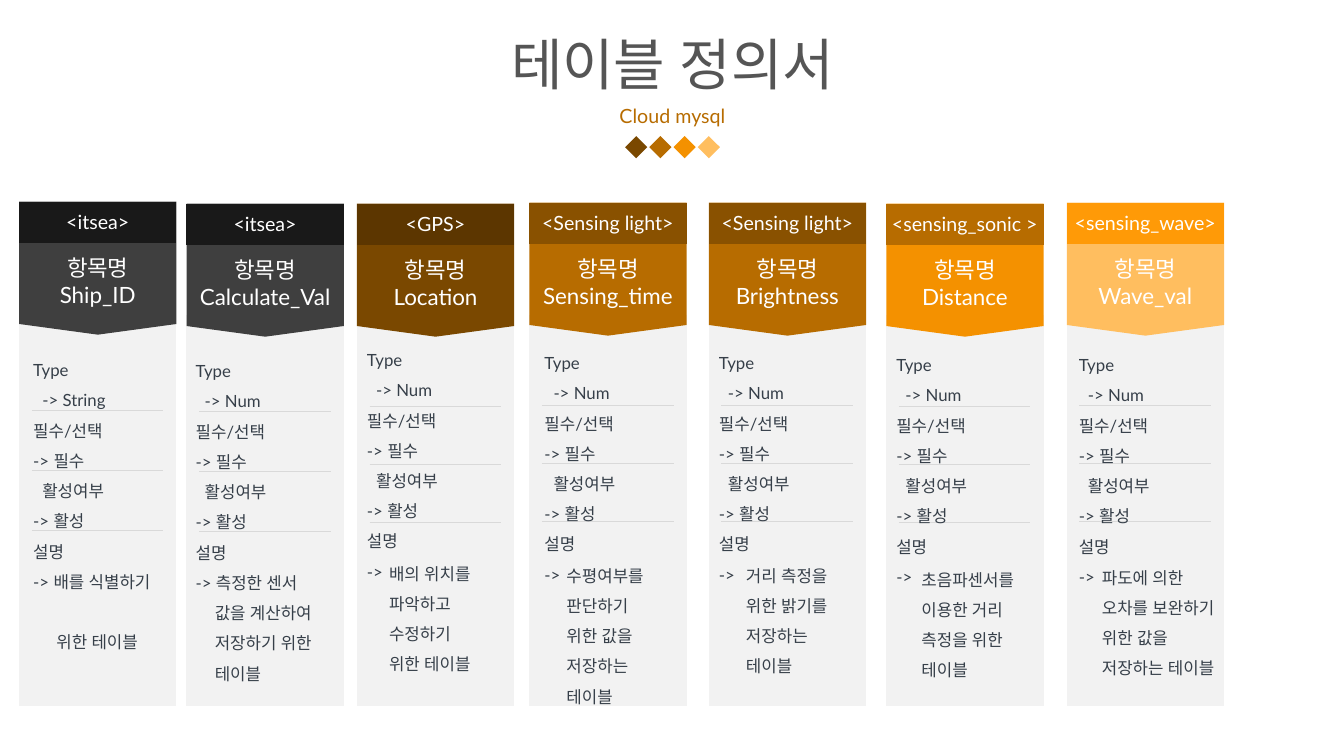
from lxml.etree import SubElement
from pptx import Presentation
from pptx.dml.color import RGBColor
from pptx.enum.shapes import MSO_CONNECTOR as Link, MSO_SHAPE as Form
from pptx.enum.text import MSO_ANCHOR as Anchor, PP_ALIGN as Align
from pptx.oxml.ns import qn
from pptx.util import Inches, Pt

WHITE = RGBColor(0xFF, 0xFF, 0xFF)
TITLE = RGBColor(0x55, 0x55, 0x55)
INK = RGBColor(0x36, 0x3F, 0x49)
PANEL = RGBColor(0xF2, 0xF2, 0xF2)
RULE = RGBColor(0xD9, 0xD9, 0xD9)
BLACK = RGBColor(0x19, 0x19, 0x19)
GREY = RGBColor(0x3F, 0x3F, 0x3F)
DARK = RGBColor(0x5C, 0x36, 0x00)
BROWN = RGBColor(0x7A, 0x48, 0x00)
RUST = RGBColor(0x89, 0x51, 0x00)
OCHRE = RGBColor(0xB7, 0x6C, 0x00)
ORANGE = RGBColor(0xF4, 0x91, 0x00)
AMBER = RGBColor(0xFF, 0x9A, 0x07)
SAND = RGBColor(0xFF, 0xBE, 0x5F)

# Grid of ten columns and ten rows to the inch
CELL = Inches(0.1)
WIDE = 15.6
FOOT = 70

deck = Presentation()
deck.slide_width, deck.slide_height = Inches(13.33), Inches(7.5)
slide = deck.slides.add_slide(deck.slide_layouts[5])
shapes = slide.shapes


def block(form, x, y, w, h, fill):
    """Add a flat filled shape; lengths are in grid cells."""
    shape = shapes.add_shape(form, *[round(n * CELL) for n in (x, y, w, h)])
    shape.shadow.inherit = False
    shape.fill.solid()
    shape.fill.fore_color.rgb = fill
    shape.line.fill.background()
    return shape


def write(spot, lines, size, color, align=Align.CENTER, space=1.0,
          inset=None, box=None):
    """Fill a placeholder, or a new text box at spot, with (text, indent, gap) lines."""
    if box is None:
        box = shapes.add_textbox(*[round(n * CELL) for n in spot])
    frame = box.text_frame
    frame.word_wrap = True
    if inset is not None:
        frame.margin_left = frame.margin_right = inset
        frame.margin_top = frame.margin_bottom = inset
    for i, (text, indent, gap) in enumerate(lines):
        para = frame.add_paragraph() if i else frame.paragraphs[0]
        para.alignment = align
        para.line_spacing = space
        if gap:
            para.space_before = Pt(gap)
        if indent:
            para._p.get_or_add_pPr().set("marL", str(round(indent * CELL)))
        run = para.add_run()
        run.text = text
        run.font.size = Pt(size)
        run.font.color.rgb = color
        run.font.name = "Lato"
        SubElement(run._r.get_or_add_rPr(), qn("a:ea")).set("typeface", "Lato")
    return frame


# Heading
head = shapes.title
head.left, head.top, head.width, head.height = [
    round(n * CELL) for n in (19.6, 2.3, 94.2, 8.8)]
frame = write(None, [("테이블 정의서", 0, 0)], 40, TITLE, space=0.9, box=head)
frame.vertical_anchor = Anchor.MIDDLE
frame = write((44.2, 9.5, 45, 4), [("Cloud mysql", 0, 0)], 14, OCHRE)
frame.vertical_anchor = Anchor.MIDDLE
for i, fill in enumerate((BROWN, OCHRE, ORANGE, SAND)):
    block(Form.DIAMOND, 62 + 2.4 * i, 13.5, 2.2, 2.2, fill)

# Left, top, tag, field, tag fill, plate fill, list place, type, rule start, rule step
COLS = [
    (1.9, 20, "<itsea>", "Ship_ID", BLACK, GREY, (3.3, 34.7), "String", 40.7, 5.95),
    (18.5, 20.2, "<itsea>", "Calculate_Val", BLACK, GREY, (19.4, 34.8), "Num", 40.8, 5.95),
    (35.4, 20.2, "<GPS>", "Location", DARK, BROWN, (36.4, 33.7), "Num", 40.3, 5.75),
    (52.5, 20.1, "<Sensing light>", "Sensing_time", RUST, OCHRE, (54, 34), "Num", 40.2, 5.75),
    (70.3, 20.1, "<Sensing light>", "Brightness", RUST, OCHRE, (71.3, 34), "Num", 40.2, 5.75),
    (87.9, 20.2, "<sensing_sonic >", "Distance", OCHRE, ORANGE, (88.9, 34.2), "Num", 40.3, 5.75),
    (105.8, 20.1, "<sensing_wave>", "Wave_val", AMBER, SAND, (107, 34.2), "Num", 40.2, 5.75),
]

# Closing list lines of each column
ENDS = [
    [("-> 배를 식별하기", 0, 0), ("위한 테이블", 2.3, 21.6)],
    [("-> 측정한 센서", 0, 0), ("값을 계산하여", 1.9, 0),
     ("저장하기 위한", 1.9, 0), ("테이블", 1.9, 0)],
] + [[("->", 0, 0)]] * 5

for (x, top, tag, field, dark, fill, spot, kind, start, step), end in zip(COLS, ENDS):
    mid = x + WIDE / 2
    block(Form.FLOWCHART_PROCESS, x, 31.2, WIDE, FOOT - 31.2, PANEL)
    plate = block(Form.PENTAGON, mid - 6.6, top + 6.6 - WIDE / 2, 13.2, WIDE, fill)
    plate.rotation = 90
    plate.adjustments[0] = 0.08
    block(Form.FLOWCHART_PROCESS, x, top, WIDE, 4.1, dark)
    write((mid - 8.8, top + 0.3, 17.6, 3.3), [(tag, 0, 0)], 14, WHITE)
    write((mid - 8.3, top + 4.7, 16.6, 6.3),
          [("항목명", 0, 0), (field, 0, 0)], 16, WHITE)
    for i in range(3):
        y = round((start + i * step) * CELL)
        rule = shapes.add_connector(
            Link.STRAIGHT, round((x + 1.25) * CELL), y, round((x + 14.3) * CELL), y)
        rule.line.color.rgb = RULE
        rule.line.width = Pt(0.5)
        SubElement(rule._element.spPr, qn("a:effectLst"))
    rows = [("Type", 0, 0), ("-> " + kind, 0.9, 0), ("필수/선택", 0, 0),
            ("-> 필수", 0, 0), ("활성여부", 0.9, 0), ("-> 활성", 0, 0),
            ("설명", 0, 0)] + end
    write((*spot, 13, 3 * len(rows)), rows, 12, INK, Align.LEFT, 1.5, 0)

# Notes beside the last arrow
NOTES = [
    (37.6, 54.4, 11.5, ["배의 위치를 파악하고 수정하기 위한 테이블"]),
    (55.2, 54.6, 11.5, ["수평여부를", "판단하기 위한 값을 저장하는 테이블"]),
    (73, 54.6, 11.5, ["거리 측정을 위한 밝기를 저장하는 테이블"]),
    (90.4, 55, 12.1, ["초음파센서를 이용한 거리 측정을 위한 테이블"]),
    (108.3, 54.8, 13.5, ["파도에 의한 오차를 보완하기 위한 값을 저장하는 테이블"]),
]
for x, y, wide, lines in NOTES:
    write((x, y, wide, 13), [(text, 0, 0) for text in lines],
          12, INK, Align.LEFT, 1.5)

deck.save("out.pptx")
